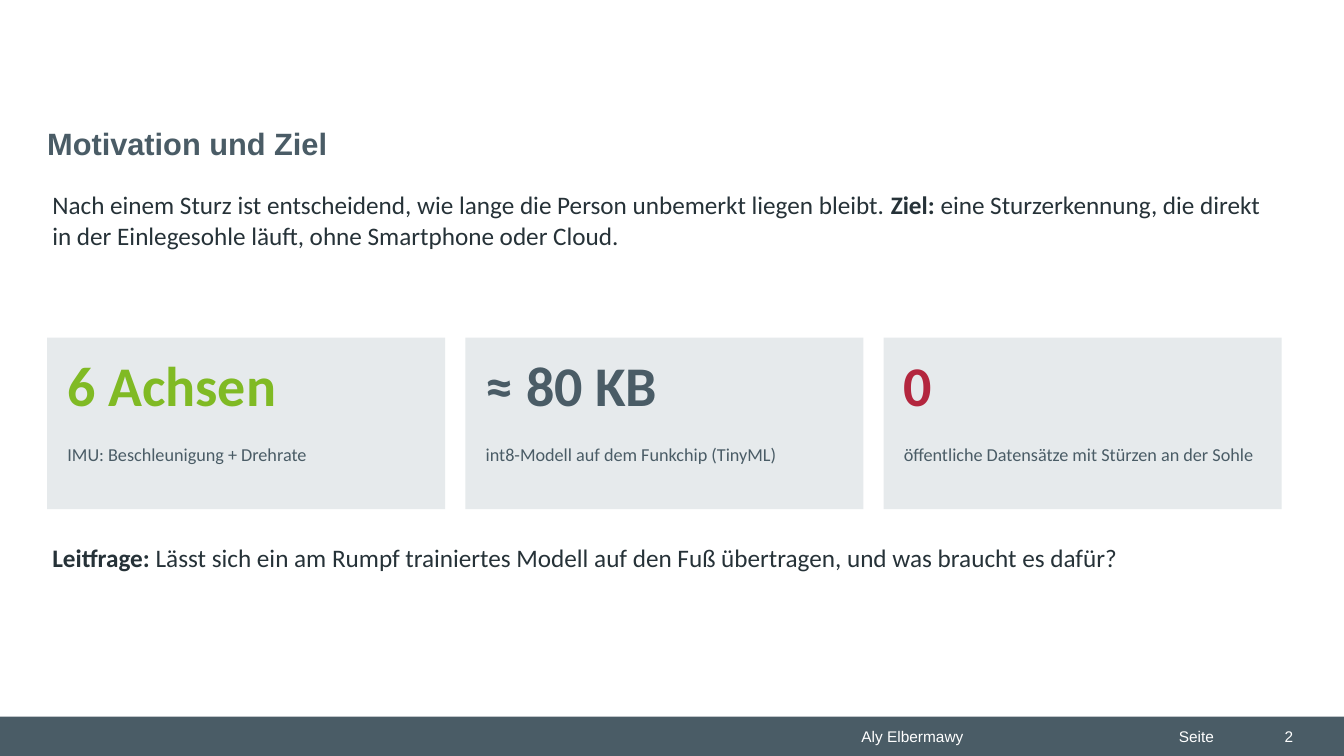
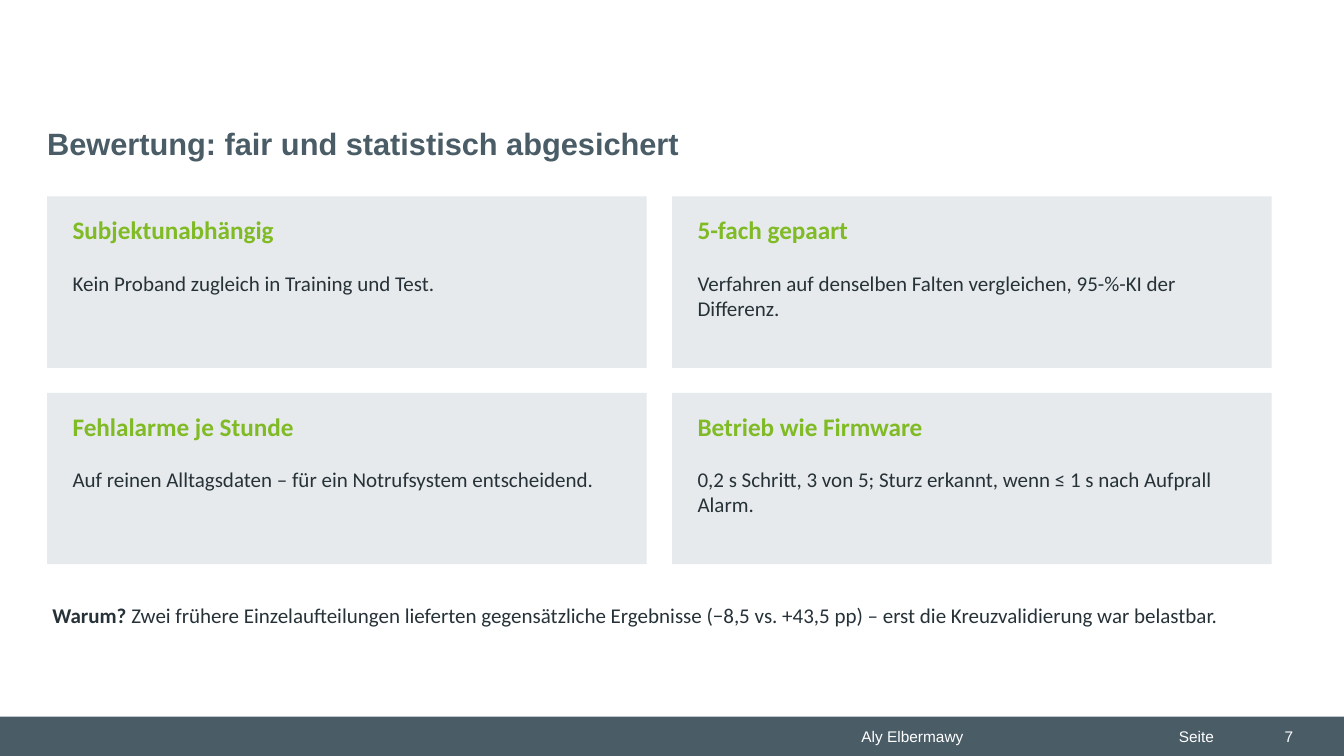
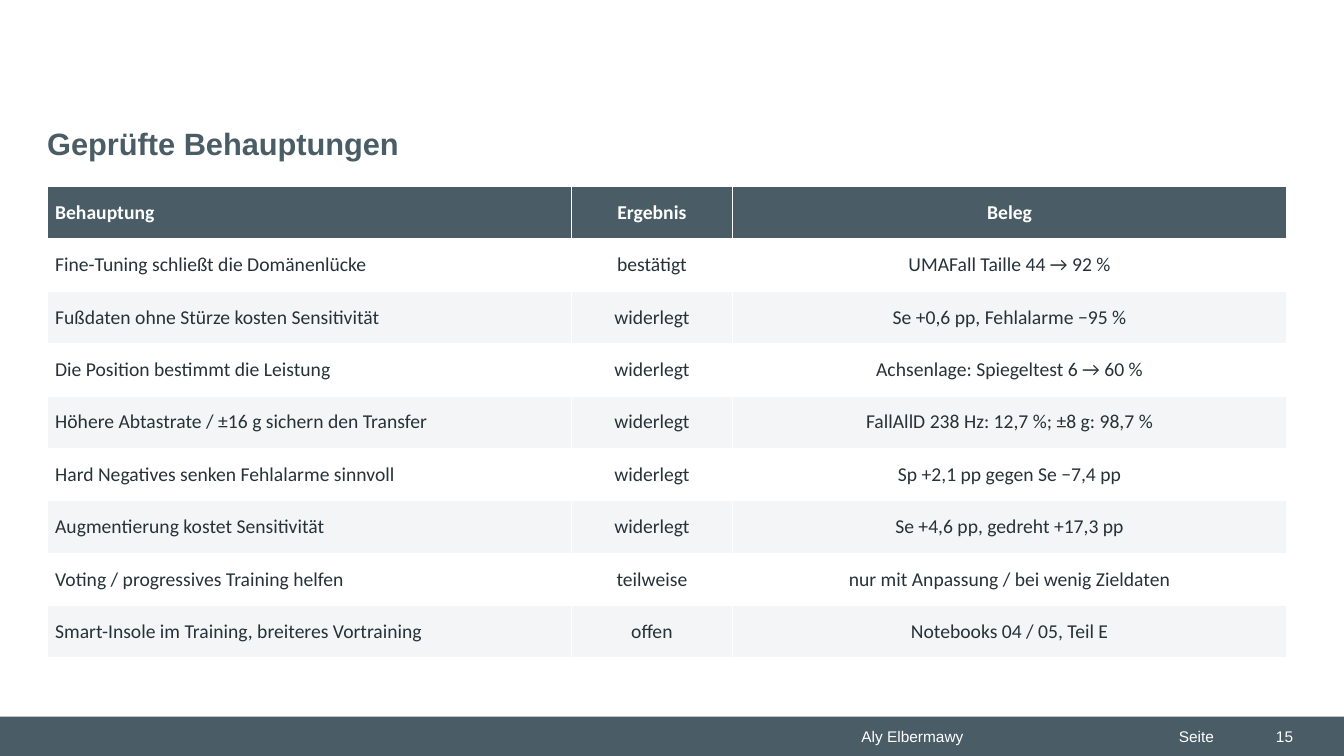
from pptx import Presentation
from pptx.dml.color import RGBColor
from pptx.enum.shapes import MSO_SHAPE
from pptx.enum.text import MSO_ANCHOR, MSO_AUTO_SIZE, PP_ALIGN
from pptx.util import Cm, Pt

RECTANGLE = MSO_SHAPE.RECTANGLE
TOP, MIDDLE = MSO_ANCHOR.TOP, MSO_ANCHOR.MIDDLE
LEFT, CENTER, RIGHT = PP_ALIGN.LEFT, PP_ALIGN.CENTER, PP_ALIGN.RIGHT
FIXED, GROW = MSO_AUTO_SIZE.NONE, MSO_AUTO_SIZE.SHAPE_TO_FIT_TEXT

# Shared colours, fonts and measures (cm)
SLATE, GREEN, RED = "4A5C66", "80BA24", "B3263E"
INK, WHITE, PANEL, STRIPE = "263238", "FFFFFF", "E6EAEC", "F3F5F6"
HEAD_FONT, BODY_FONT = "Arial", "Calibri"
PAGE_WIDTH, PAGE_HEIGHT = 33.87, 19.05
MARGIN, TEXT_WIDTH = 1.19, 31.24
CARD_HEIGHT = 4.32
color = RGBColor.from_string

BODY_FRAME = {"word_wrap": True, "auto_size": GROW, "vertical_anchor": TOP,
              "margin_left": Cm(0.13), "margin_right": Cm(0.13),
              "margin_top": Cm(0.08), "margin_bottom": Cm(0.08)}
FOOTER_FRAME = {"word_wrap": True, "auto_size": FIXED, "vertical_anchor": MIDDLE,
                "margin_left": Cm(0.25), "margin_right": Cm(0.25),
                "margin_top": Cm(0.13), "margin_bottom": Cm(0.13)}
TITLE_FRAME = FOOTER_FRAME | {"vertical_anchor": TOP, "margin_left": 0, "margin_right": 0}
CELL_FORMAT = {"vertical_anchor": MIDDLE,
               "margin_left": Cm(0.2), "margin_right": Cm(0.2),
               "margin_top": Cm(0.08), "margin_bottom": Cm(0.08)}


def add_panel(page, place, fill):
    panel = page.shapes.add_shape(RECTANGLE, *map(Cm, place))
    panel.shadow.inherit = False
    panel.fill.solid()
    panel.fill.fore_color.rgb = color(fill)
    panel.line.fill.background()


def add_text(page, place, spans, size, ink, font=BODY_FONT, frame=BODY_FRAME,
             align=LEFT, after=6):
    """Add a text box; spans are (text, bold) pairs."""
    box = page.shapes.add_textbox(*map(Cm, place))
    for name, value in frame.items():
        setattr(box.text_frame, name, value)
    para = box.text_frame.paragraphs[0]
    para.alignment = align
    para.space_after = Pt(after)
    for text, bold in spans:
        span = para.add_run()
        span.text = text
        for name, value in {"name": font, "size": Pt(size), "bold": bold}.items():
            setattr(span.font, name, value)
        span.font.color.rgb = color(ink)


deck = Presentation()
deck.slide_width, deck.slide_height = Cm(PAGE_WIDTH), Cm(PAGE_HEIGHT)
title_only = deck.slide_layouts[5]

# Title, band and footer of every page
pages = []
for heading, number in [("Motivation und Ziel", "2"),
                        ("Bewertung: fair und statistisch abgesichert", "7"),
                        ("Geprüfte Behauptungen", "15")]:
    page = deck.slides.add_slide(title_only)
    pages.append(page)
    title = page.shapes.title
    title.left, title.top, title.width, title.height = map(Cm, (MARGIN, 3, 31.19, 1.6))
    title.text_frame.text = heading
    for name, value in TITLE_FRAME.items():
        setattr(title.text_frame, name, value)
    para = title.text_frame.paragraphs[0]
    para.alignment = LEFT
    for name, value in {"name": HEAD_FONT, "size": Pt(22), "bold": True}.items():
        setattr(para.font, name, value)
    para.font.color.rgb = color(SLATE)

    add_panel(page, (0, 18.06, PAGE_WIDTH, PAGE_HEIGHT - 18.06), SLATE)
    for left, width, text, align in [(21.46, 8, "Aly Elbermawy", LEFT),
                                     (29.46, 2.13, "Seite", LEFT),
                                     (31.06, 1.78, number, RIGHT)]:
        add_text(page, (left, 18.19, width, 0.74), [(text, False)], 11, WHITE,
                 HEAD_FONT, FOOTER_FRAME, align, after=0)

motivation, evaluation, claims = pages

# Motivation: goal, three key figures, guiding question
add_text(motivation, (MARGIN, 4.7, TEXT_WIDTH, 3.05), [
    ("Nach einem Sturz ist entscheidend, wie lange die Person unbemerkt liegen bleibt. ", False),
    ("Ziel: ", True),
    ("eine Sturzerkennung, die direkt in der Einlegesohle läuft, ohne Smartphone oder Cloud.", False),
], 18, INK)

figures = [("6 Achsen", GREEN, "IMU: Beschleunigung + Drehrate"),
           ("≈ 80 KB", SLATE, "int8-Modell auf dem Funkchip (TinyML)"),
           ("0", RED, "öffentliche Datensätze mit Stürzen an der Sohle")]
for index, (figure, ink, label) in enumerate(figures):
    left, top = MARGIN + index * 10.54, 8.51
    add_panel(motivation, (left, top, 10.03, CARD_HEIGHT), PANEL)
    add_text(motivation, (left + 0.38, top + 0.25, 9.27, 2.03), [(figure, True)], 40, ink)
    add_text(motivation, (left + 0.38, top + 2.59, 9.27, 1.57), [(label, False)], 13, SLATE)

add_text(motivation, (MARGIN, 13.59, TEXT_WIDTH, 3.3), [
    ("Leitfrage: ", True),
    ("Lässt sich ein am Rumpf trainiertes Modell auf den Fuß übertragen, "
     "und was braucht es dafür?", False),
], 18, INK)

# Evaluation: two by two cards and the reason
criteria = [
    ("Subjektunabhängig", "Kein Proband zugleich in Training und Test."),
    ("5-fach gepaart", "Verfahren auf denselben Falten vergleichen, 95-%-KI der Differenz."),
    ("Fehlalarme je Stunde", "Auf reinen Alltagsdaten – für ein Notrufsystem entscheidend."),
    ("Betrieb wie Firmware", "0,2 s Schritt, 3 von 5; Sturz erkannt, wenn ≤ 1 s nach Aufprall Alarm."),
]
for index, (heading, detail) in enumerate(criteria):
    row, column = divmod(index, 2)
    left, top = MARGIN + column * 15.75, 4.95 + row * 4.95
    add_panel(evaluation, (left, top, 15.11, CARD_HEIGHT), PANEL)
    add_text(evaluation, (left + 0.51, top + 0.38, 14.22, 1.27), [(heading, True)], 18, GREEN)
    add_text(evaluation, (left + 0.51, top + 1.78, 14.22, 2.29), [(detail, False)], 15, INK)

add_text(evaluation, (MARGIN, 15.11, TEXT_WIDTH, 2.03), [
    ("Warum? ", True),
    ("Zwei frühere Einzelaufteilungen lieferten gegensätzliche Ergebnisse "
     "(−8,5 vs. +43,5 pp) – erst die Kreuzvalidierung war belastbar.", False),
], 15, INK)

# Claims: table with striped rows
rows = [
    ("Behauptung", "Ergebnis", "Beleg"),
    ("Fine-Tuning schließt die Domänenlücke", "bestätigt", "UMAFall Taille 44 → 92 %"),
    ("Fußdaten ohne Stürze kosten Sensitivität", "widerlegt", "Se +0,6 pp, Fehlalarme −95 %"),
    ("Die Position bestimmt die Leistung", "widerlegt", "Achsenlage: Spiegeltest 6 → 60 %"),
    ("Höhere Abtastrate / ±16 g sichern den Transfer", "widerlegt",
     "FallAllD 238 Hz: 12,7 %; ±8 g: 98,7 %"),
    ("Hard Negatives senken Fehlalarme sinnvoll", "widerlegt", "Sp +2,1 pp gegen Se −7,4 pp"),
    ("Augmentierung kostet Sensitivität", "widerlegt", "Se +4,6 pp, gedreht +17,3 pp"),
    ("Voting / progressives Training helfen", "teilweise", "nur mit Anpassung / bei wenig Zieldaten"),
    ("Smart-Insole im Training, breiteres Vortraining", "offen", "Notebooks 04 / 05, Teil E"),
]
table = claims.shapes.add_table(len(rows), 3, Cm(MARGIN), Cm(4.7),
                                Cm(TEXT_WIDTH), Cm(1.32 * len(rows))).table
for column, width in zip(table.columns, (13.21, 4.06, 13.97)):
    column.width = Cm(width)
for row_index, texts in enumerate(rows):
    header = row_index == 0
    fill = SLATE if header else WHITE if row_index % 2 else STRIPE
    for column_index, text in enumerate(texts):
        cell = table.cell(row_index, column_index)
        cell.text = text
        for name, value in CELL_FORMAT.items():
            setattr(cell, name, value)
        cell.fill.solid()
        cell.fill.fore_color.rgb = color(fill)
        para = cell.text_frame.paragraphs[0]
        para.alignment = CENTER if column_index else LEFT
        for name, value in {"name": BODY_FONT, "size": Pt(14), "bold": header}.items():
            setattr(para.font, name, value)
        para.font.color.rgb = color(WHITE if header else INK)

deck.save("out.pptx")
